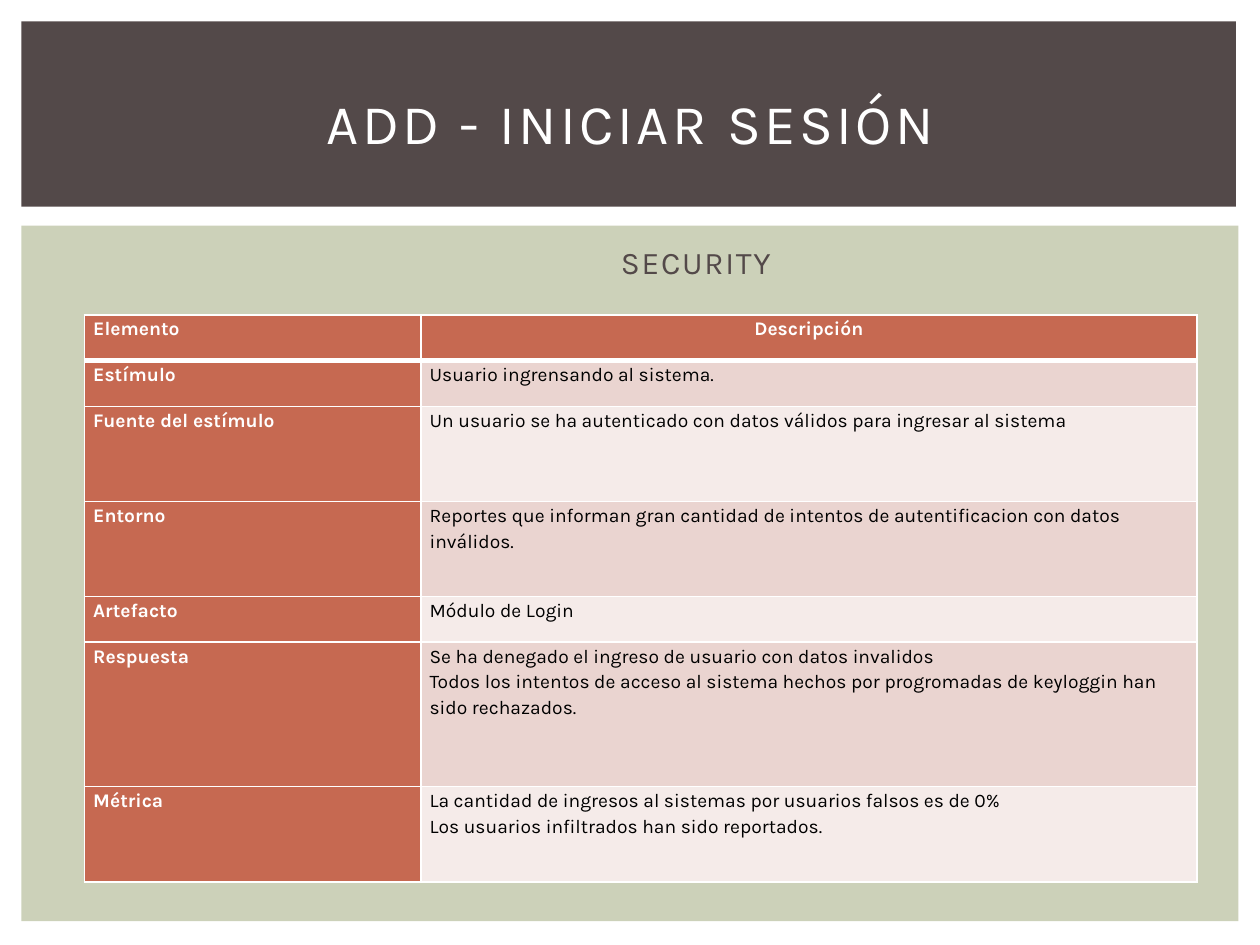
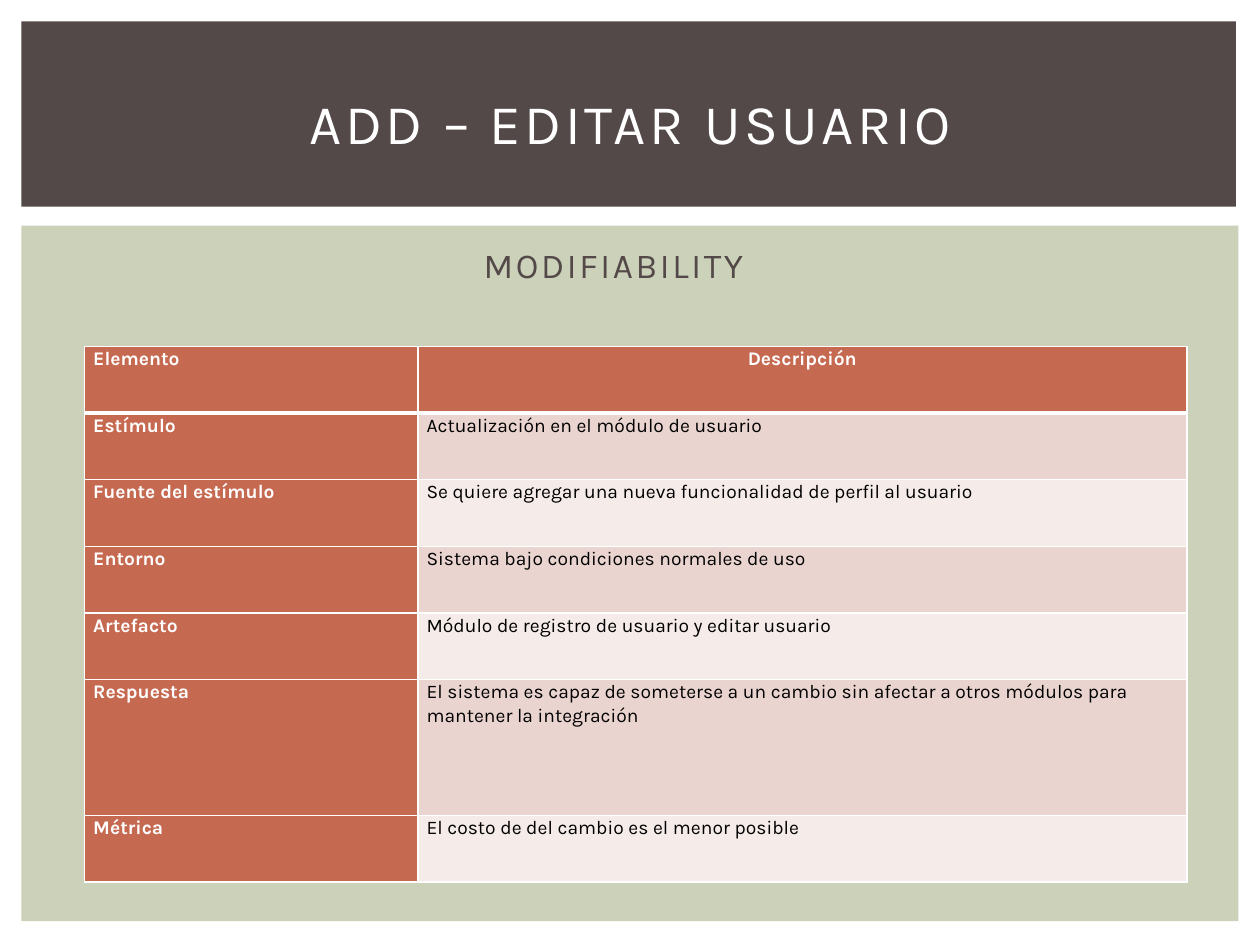
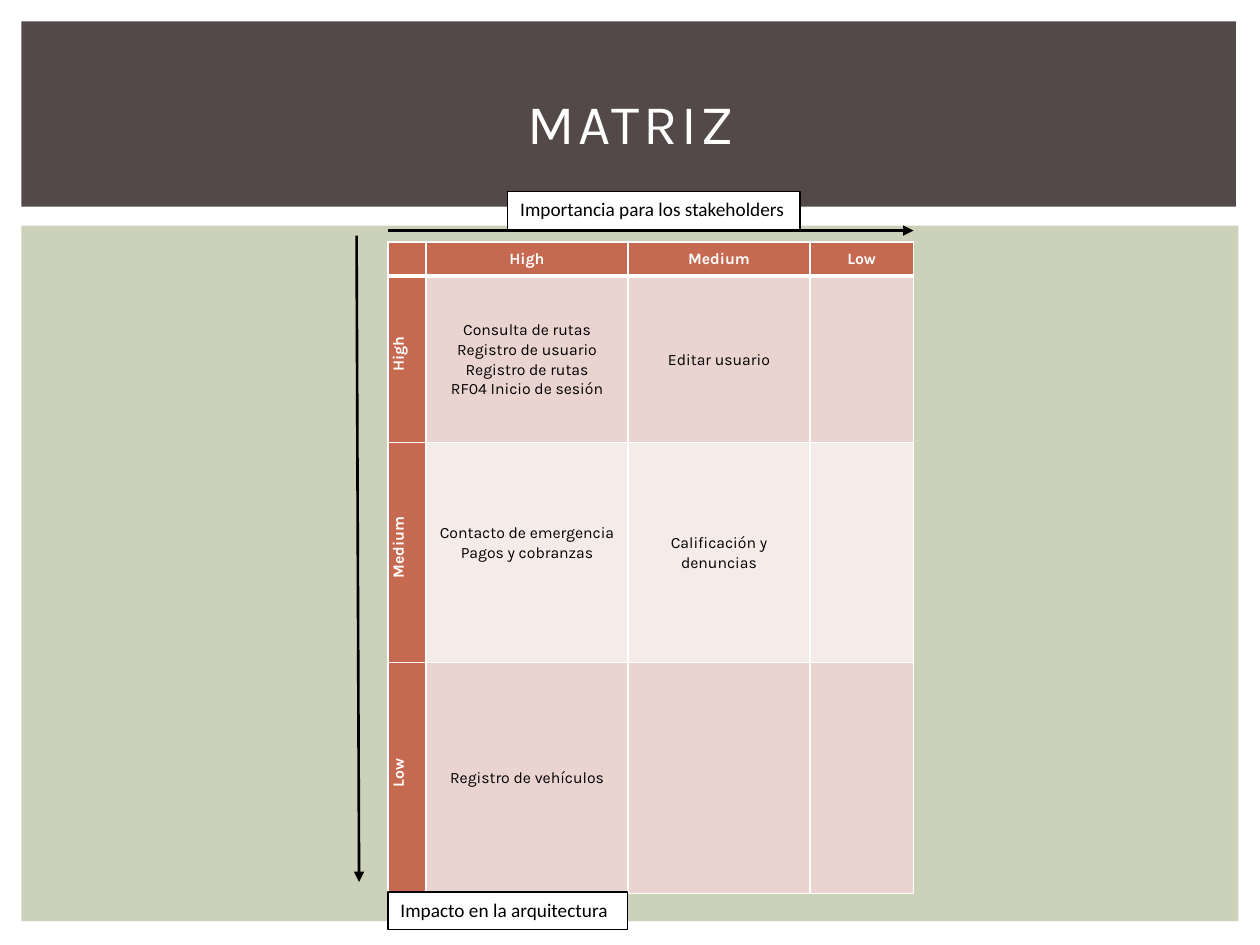
from lxml.etree import SubElement
from pptx import Presentation
from pptx.dml.color import RGBColor
from pptx.enum.shapes import MSO_CONNECTOR, MSO_SHAPE
from pptx.enum.text import MSO_ANCHOR as ANCHOR, PP_ALIGN as ALIGN
from pptx.oxml.ns import qn
from pptx.util import Inches, Pt

BROWN = RGBColor(0x53, 0x49, 0x49)
SAGE = RGBColor(0xCC, 0xD1, 0xB9)
RUST = RGBColor(0xC6, 0x69, 0x51)
ROSE = RGBColor(0xEA, 0xD4, 0xD0)
BLUSH = RGBColor(0xF5, 0xEB, 0xE9)
WHITE = RGBColor(0xFF, 0xFF, 0xFF)
BLACK = RGBColor(0x00, 0x00, 0x00)
FONT = "Karla"
BANDS = [(0.17, 1.79, 9.66, 5.52, SAGE), (0.17, 0.17, 9.64, 1.47, BROWN)]

SCENARIOS = [
    {
        "title": "ADD - INICIAR SESIÓN",
        "attribute": ("SECURITY", 4.93, 18, 1),
        "box": (0.67, 2.5, 8.83, 4.5),
        "rows": [0.36, 0.36, 0.75, 0.75, 0.36, 1.14, 0.75],
        "spacing": 1.15,
        "descriptions": [
            "Usuario ingrensando al sistema.",
            "Un usuario se ha autenticado con datos válidos para ingresar al sistema",
            "Reportes que informan gran cantidad de intentos de autentificacion con datos inválidos.",
            "Módulo de Login",
            "Se ha denegado el ingreso de usuario con datos invalidos\n"
            "Todos los intentos de acceso al sistema hechos por progromadas de keyloggin han sido rechazados.",
            "La cantidad de ingresos al sistemas por usuarios falsos es de 0%\n"
            "Los usuarios infiltrados han sido reportados.",
        ],
    },
    {
        "title": "ADD – EDITAR USUARIO",
        "attribute": ("MODIFIABILITY", 3.84, 20, 1.5),
        "box": (0.67, 2.75, 8.75, 4.25),
        "rows": [0.53, 0.53, 0.53, 0.53, 0.53, 1.08, 0.53],
        "spacing": 1.07,
        "descriptions": [
            "Actualización en el módulo de usuario",
            "Se quiere agregar una nueva funcionalidad de perfil al usuario",
            "Sistema bajo condiciones normales de uso",
            "Módulo de registro de usuario y editar usuario",
            "El sistema es capaz de someterse a un cambio sin afectar a otros módulos para "
            "mantener la integración",
            "El costo de del cambio es el menor posible",
        ],
    },
]
ELEMENTS = ["Estímulo", "Fuente del estímulo", "Entorno", "Artefacto", "Respuesta", "Métrica"]
MATRIX = [
    ["", "High", "Medium", "Low"],
    ["High", "Consulta de rutas\nRegistro de usuario\nRegistro de rutas\nRF04 Inicio de sesión",
     "Editar usuario", ""],
    ["Medium", "Contacto de emergencia\nPagos y cobranzas", "Calificación y denuncias", ""],
    ["Low", "Registro de vehículos", "", ""],
]
ARROWS = [(3.08, 1.83, 7.25, 1.83), (2.83, 1.87, 2.85, 7)]
AXIS_LABELS = [
    ("Impacto en la arquitectura", 3.08, 7.08, 1.9),
    ("Importancia para los stakeholders", 4.03, 1.52, 2.32),
]


def add_banded_slide(title, attribute=None):
    """Add a slide with both bands, its title and an optional quality attribute heading."""
    s = prs.slides.add_slide(prs.slide_layouts[6])
    for x, y, w, h, color in BANDS:
        sp = s.shapes.add_shape(MSO_SHAPE.RECTANGLE, Inches(x), Inches(y), Inches(w), Inches(h))
        sp.shadow.inherit = False
        sp.fill.solid()
        sp.fill.fore_color.rgb = color
        sp.line.fill.background()
    headings = [(title, 0.42, 0.39, 9.17, 1.15, 32, 2, WHITE, ALIGN.CENTER, ANCHOR.MIDDLE)]
    if attribute:
        text, x, size, spacing = attribute
        headings.append((text, x - 0.1, 1.88, 9.61 - x, 0.5, size, spacing, BROWN, ALIGN.LEFT, ANCHOR.TOP))
    for text, x, y, w, h, size, spacing, color, align, anchor in headings:
        tf = s.shapes.add_textbox(Inches(x), Inches(y), Inches(w), Inches(h)).text_frame
        tf.word_wrap = True
        tf.vertical_anchor = anchor
        p = tf.paragraphs[0]
        p.text = text
        p.alignment = align
        p.font.name, p.font.size, p.font.color.rgb = FONT, Pt(size), color
        p.runs[0]._r.get_or_add_rPr().set("spc", str(int(spacing * 100)))
    return s


def add_grid(s, texts, box, widths, heights, size, spacing, inset):
    """Add a table with a rust header row and column; widths and heights share out the box."""
    x, y, w, h = box
    table = s.shapes.add_table(len(heights), len(widths), Inches(x), Inches(y), Inches(w), Inches(h)).table
    for column, width in zip(table.columns, widths):
        column.width = Inches(w * width / sum(widths))
    for row, height in zip(table.rows, heights):
        row.height = Inches(h * height / sum(heights))
    for i, row_texts in enumerate(texts):
        for j, text in enumerate(row_texts):
            cell = table.cell(i, j)
            header = i == 0 or j == 0
            cell.margin_left = cell.margin_right = Inches(inset)
            cell.margin_top = cell.margin_bottom = 0
            tcPr = cell._tc.get_or_add_tcPr()
            for side in "LRTB":
                thick = (i, side) in [(0, "B"), (1, "T")]
                ln = SubElement(tcPr, qn(f"a:ln{side}"), w=str(Pt(3 if thick else 1)))
                SubElement(SubElement(ln, qn("a:solidFill")), qn("a:srgbClr"), val=str(WHITE))
            cell.fill.solid()
            cell.fill.fore_color.rgb = RUST if header else ROSE if i % 2 else BLUSH
            cell.text = text
            for p in cell.text_frame.paragraphs:
                p.line_spacing = spacing
                p.font.name, p.font.size, p.font.bold = FONT, Pt(size), header
                p.font.color.rgb = WHITE if header else BLACK
                if not text:
                    SubElement(p._p, qn("a:endParaRPr"), sz=str(size * 100))
    return table


prs = Presentation()
prs.slide_width, prs.slide_height = Inches(10), Inches(7.5)

# Quality scenarios
for scenario in SCENARIOS:
    s = add_banded_slide(scenario["title"], scenario["attribute"])
    texts = [("Elemento", "Descripción"), *zip(ELEMENTS, scenario["descriptions"])]
    table = add_grid(s, texts, scenario["box"], [2.67, 6.16], scenario["rows"], 11, scenario["spacing"], 0.07)
    table.cell(0, 1).text_frame.paragraphs[0].alignment = ALIGN.CENTER

# Priority matrix
s = add_banded_slide("MATRIZ")
table = add_grid(s, MATRIX, (3.08, 1.92, 4.17, 5.17), [0.3, 1.6, 1.44, 0.82],
                 [0.27, 1.32, 1.74, 1.83], 9, 1.07, 0.05)
for cell in table.iter_cells():
    cell.vertical_anchor = ANCHOR.MIDDLE
    for p in cell.text_frame.paragraphs:
        p.alignment = ALIGN.CENTER
for i in range(1, len(MATRIX)):
    level = table.cell(i, 0)
    level._tc.get_or_add_tcPr().set("vert", "vert270")
    level.text_frame.paragraphs[0]._p.get_or_add_pPr().set("marL", str(Inches(0.08)))
table.cell(2, 1).margin_bottom = Inches(0.16)

for x1, y1, x2, y2 in ARROWS:
    arrow = s.shapes.add_connector(MSO_CONNECTOR.STRAIGHT, Inches(x1), Inches(y1), Inches(x2), Inches(y2))
    arrow.line.color.rgb = BLACK
    arrow.line.width = Pt(1.5)
    SubElement(arrow.line._get_or_add_ln(), qn("a:tailEnd"), type="triangle")
    SubElement(arrow._element.spPr, qn("a:effectLst"))

for text, x, y, w in AXIS_LABELS:
    sp = s.shapes.add_shape(MSO_SHAPE.RECTANGLE, Inches(x), Inches(y), Inches(w), Inches(0.3))
    sp.shadow.inherit = False
    sp.fill.solid()
    sp.fill.fore_color.rgb = WHITE
    sp.line.color.rgb = BLACK
    sp.line.width = Pt(0.75)
    tf = sp.text_frame
    tf.word_wrap = True
    tf.vertical_anchor = ANCHOR.TOP
    p = tf.paragraphs[0]
    p.text = text
    p.alignment = ALIGN.LEFT
    p.font.name, p.font.size, p.font.color.rgb = "Calibri", Pt(11), BLACK

prs.save("out.pptx")
